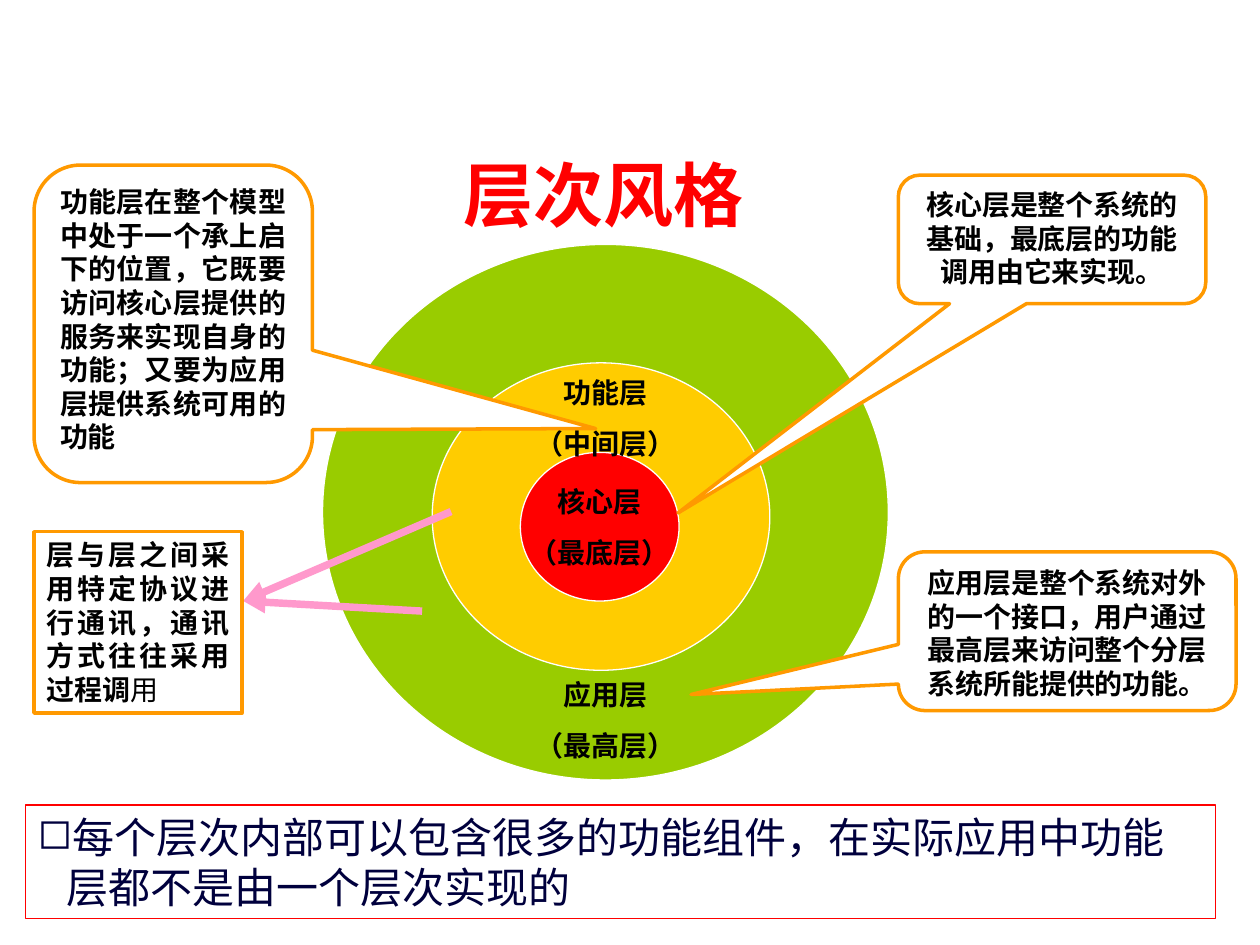
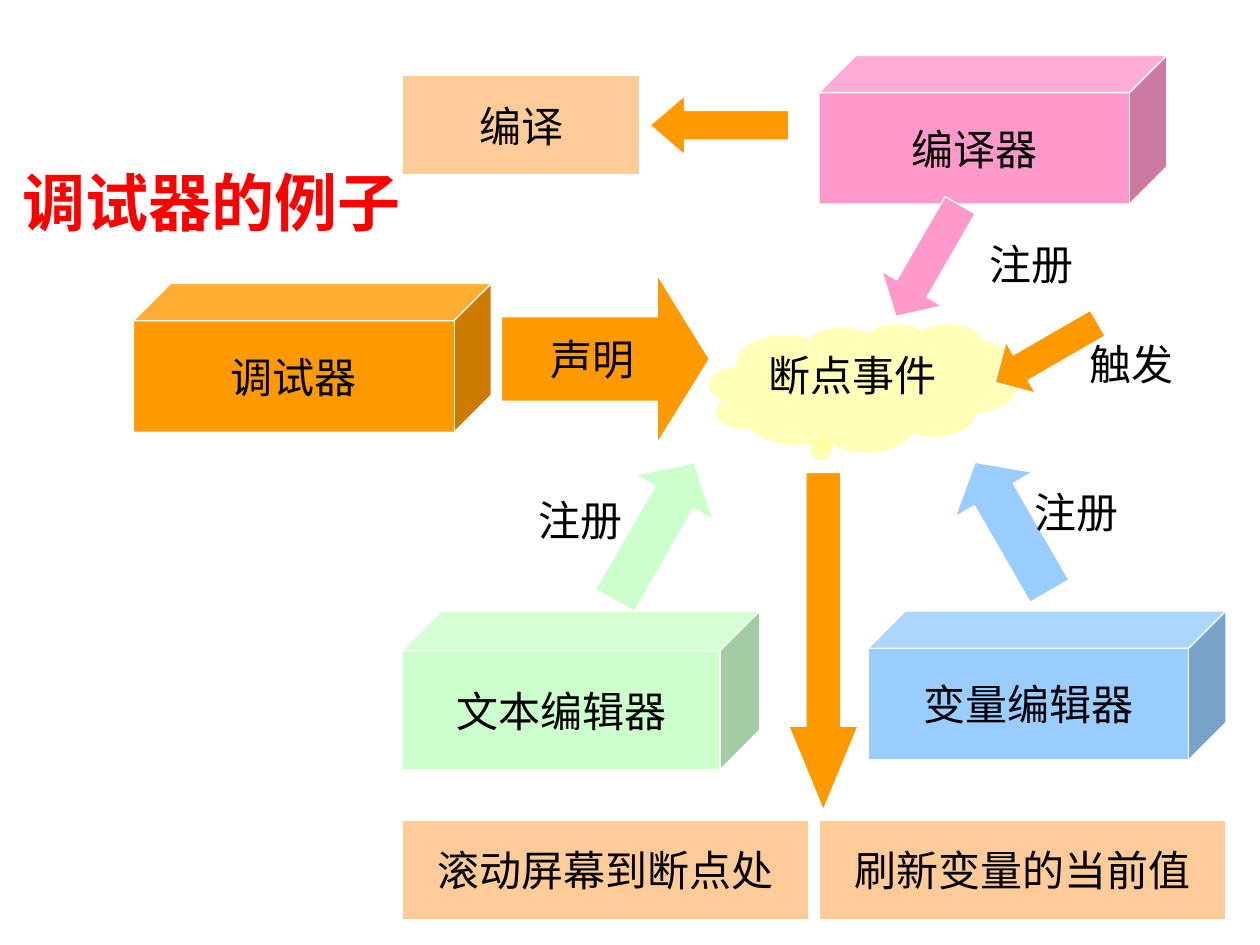
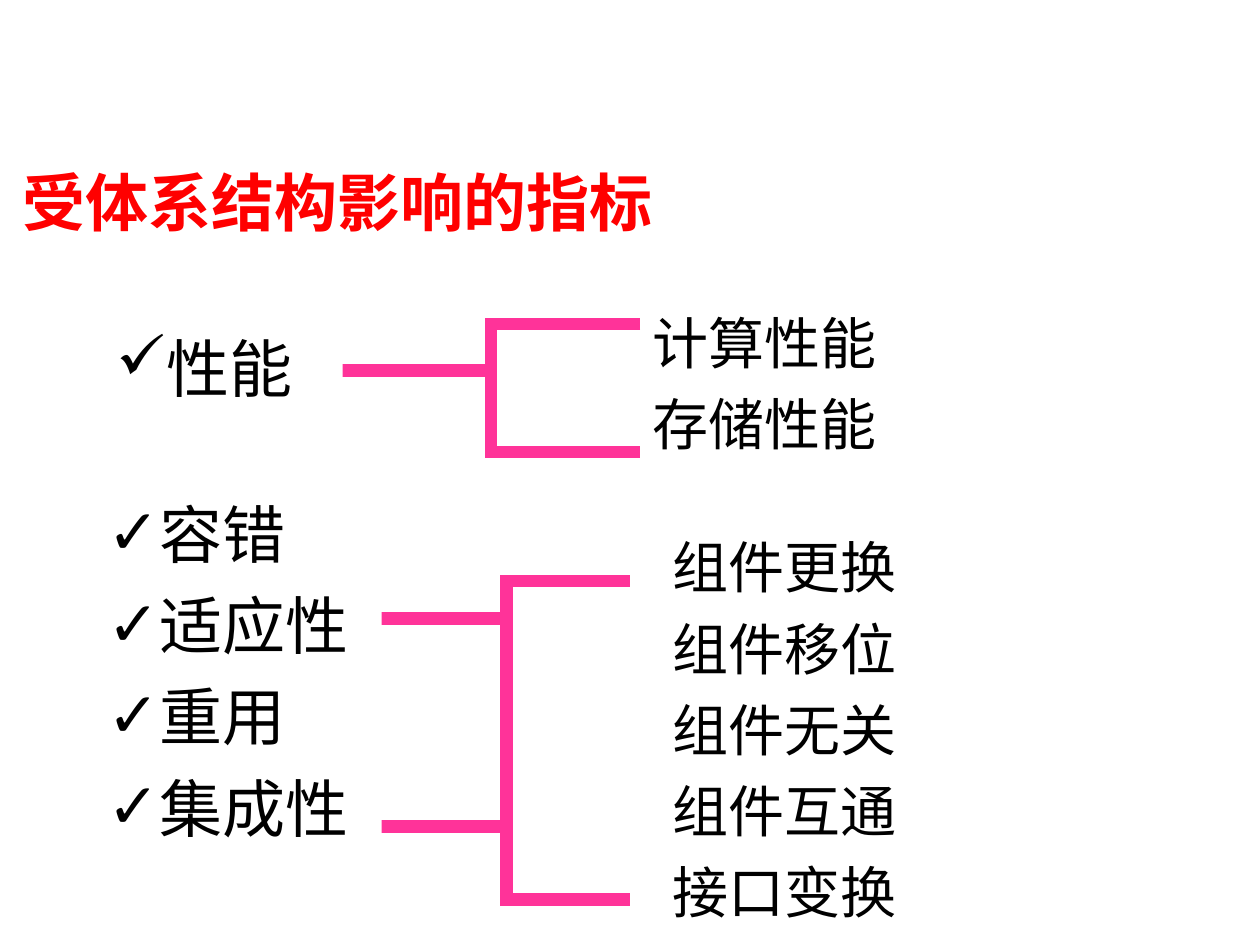
"""Build three slides on architecture styles: layers, events and quality measures."""
from dataclasses import dataclass
from typing import NamedTuple, Optional

from lxml.etree import SubElement
from pptx import Presentation
from pptx.dml.color import RGBColor
from pptx.enum.shapes import MSO_CONNECTOR, MSO_SHAPE as Preset
from pptx.enum.text import MSO_ANCHOR as Anchor, MSO_AUTO_SIZE, PP_ALIGN as Align
from pptx.oxml.ns import qn
from pptx.util import Inches, Pt

WIDTH, HEIGHT = Inches(10), Inches(7.5)
COLUMN, ROW = WIDTH / 100, HEIGHT / 75

WHITE = RGBColor(0xFF, 0xFF, 0xFF)
BLACK = RGBColor(0x00, 0x00, 0x00)
RED = RGBColor(0xFF, 0x00, 0x00)
GREEN = RGBColor(0x99, 0xCC, 0x00)
GOLD = RGBColor(0xFF, 0xCC, 0x00)
ORANGE = RGBColor(0xFF, 0x99, 0x00)
PINK = RGBColor(0xFF, 0x99, 0xCC)
MAGENTA = RGBColor(0xFF, 0x33, 0x99)
MINT = RGBColor(0xCC, 0xFF, 0xCC)
SKY = RGBColor(0x99, 0xCC, 0xFF)
PEACH = RGBColor(0xFF, 0xCC, 0x99)
CREAM = RGBColor(0xFF, 0xFF, 0x99)
NAVY = RGBColor(0x00, 0x00, 0x3D)

SERIF, SANS = "Times New Roman", "Noto Sans CJK SC"
TITLE_ONLY, TWO_CONTENT = 5, 3


class Box(NamedTuple):
    """Left, top, width and height in grid columns and rows."""
    left: float
    top: float
    width: float
    height: float


class Point(NamedTuple):
    """A place in grid columns and rows."""
    x: float
    y: float

    def emu(self) -> tuple[int, int]:
        """Convert the place to slide lengths."""
        return round(self.x * COLUMN), round(self.y * ROW)


@dataclass(frozen=True)
class TextStyle:
    """Look of the paragraphs in one text frame."""
    size: float
    color: RGBColor = BLACK
    font: str = SERIF
    bold: bool = False
    align: Align = Align.CENTER
    anchor: Anchor = Anchor.MIDDLE
    wrap: bool = False
    gap: float = 0
    bullet: Optional[str] = None
    hanging: float = 0


@dataclass(frozen=True)
class Figure:
    """A preset shape, or a plain label when it has no preset."""
    box: Box
    preset: Optional[Preset] = None
    fill: RGBColor = WHITE
    lines: tuple[str, ...] = ()
    style: Optional[TextStyle] = None
    adjustments: tuple[float, ...] = ()
    rotation: float = 0
    outline: Optional[RGBColor] = WHITE
    weight: float = 0.75
    opacity: Optional[int] = None


class Bracket(NamedTuple):
    """A stem at the left that opens into two arms at the right."""
    left: float
    spine: float
    right: float
    top: float
    stem: float
    bottom: float


LAYER = TextStyle(16, bold=True, gap=10)
CALLOUT = TextStyle(16, font=SANS, bold=True, anchor=Anchor.TOP, wrap=True)
JUSTIFIED = TextStyle(16, font=SANS, bold=True, align=Align.JUSTIFY, anchor=Anchor.TOP, wrap=True)
SUMMARY = TextStyle(24, NAVY, align=Align.LEFT, anchor=Anchor.TOP, wrap=True, bullet="◻", hanging=2.3)
EVENT = TextStyle(24)
CLOUD = TextStyle(24, anchor=Anchor.TOP, wrap=True)
CHECKED = TextStyle(36, align=Align.LEFT, anchor=Anchor.TOP, wrap=True, gap=9, bullet="✓", hanging=3.8)
DETAIL = TextStyle(32, align=Align.LEFT, anchor=Anchor.TOP, wrap=True, gap=8, hanging=3.8)


def place(shape, box: Box) -> None:
    """Move a shape to its box on the grid."""
    shape.left, shape.top = Point(box.left, box.top).emu()
    shape.width, shape.height = Point(box.width, box.height).emu()


def add_run(paragraph, text: str, style: TextStyle, bold: bool) -> None:
    """Append one formatted run."""
    run = paragraph.add_run()
    run.text = text
    run.font.name, run.font.size, run.font.bold = style.font, Pt(style.size), bold
    run.font.color.rgb = style.color


def write(shape, lines: tuple[str, ...], style: TextStyle) -> None:
    """Fill a text frame with one paragraph per line."""
    frame = shape.text_frame
    frame.auto_size = MSO_AUTO_SIZE.NONE
    frame.word_wrap, frame.vertical_anchor = style.wrap, style.anchor
    frame.margin_left = frame.margin_right = Inches(0.1)
    frame.margin_top = frame.margin_bottom = Inches(0.05)
    for index, line in enumerate(lines):
        paragraph = frame.add_paragraph() if index else frame.paragraphs[0]
        paragraph.alignment = style.align
        paragraph.space_before = Pt(style.gap if index else 0)
        properties = paragraph._p.get_or_add_pPr()
        indent = round(style.hanging * COLUMN)
        properties.set("marL", str(indent))
        properties.set("indent", str(-indent))
        if style.bullet:
            SubElement(properties, qn("a:buChar")).set("char", style.bullet)
        else:
            SubElement(properties, qn("a:buNone"))
        add_run(paragraph, line, style, style.bold)


def add_slide(presentation, layout: int, title: str, box: Box, size: float):
    """Add a slide with its red title."""
    slide = presentation.slides.add_slide(presentation.slide_layouts[layout])
    place(slide.shapes.title, box)
    write(slide.shapes.title, (title,),
          TextStyle(size, RED, bold=True, align=Align.LEFT, anchor=Anchor.TOP, wrap=True))
    return slide


def draw(slide, figure: Figure):
    """Draw one figure and its text."""
    if figure.preset is None:
        shape = slide.shapes.add_textbox(0, 0, 0, 0)
    else:
        shape = slide.shapes.add_shape(figure.preset, 0, 0, 0, 0)
        shape.shadow.inherit = False
        shape.fill.solid()
        shape.fill.fore_color.rgb = figure.fill
        if figure.opacity is not None:
            color = shape._element.spPr.find(qn("a:solidFill"))[0]
            SubElement(color, qn("a:alpha")).set("val", str(figure.opacity * 1000))
        if figure.outline is None:
            shape.line.fill.background()
        else:
            shape.line.color.rgb = figure.outline
            shape.line.width = Pt(figure.weight)
        for index, value in enumerate(figure.adjustments):
            shape.adjustments[index] = value
    place(shape, figure.box)
    shape.rotation = figure.rotation
    if figure.style:
        write(shape, figure.lines, figure.style)
    return shape


def framed(box: Box, text: str, style: TextStyle, pointer: tuple[float, ...] = ()) -> Figure:
    """Describe an orange note, with a pointer when one is given."""
    preset = Preset.ROUNDED_RECTANGULAR_CALLOUT if pointer else Preset.RECTANGLE
    adjustments = (*pointer, 0.167) if pointer else ()
    return Figure(box, preset, WHITE, (text,), style, adjustments, outline=ORANGE, weight=2)


def event(box: Box, preset: Optional[Preset], fill: RGBColor, text: str,
          adjustments: tuple[float, ...] = ()) -> Figure:
    """Describe a captioned part of the event diagram."""
    return Figure(box, preset, fill, (text,), EVENT, adjustments)


def arrow(box: Box, preset: Preset, fill: RGBColor, head: float, rotation: float = 0) -> Figure:
    """Describe a block arrow."""
    return Figure(box, preset, fill, adjustments=(0.5, head), rotation=rotation)


def draw_message(slide, start: Point, end: Point) -> None:
    """Draw a pink line with an arrowhead at its end."""
    connector = slide.shapes.add_connector(MSO_CONNECTOR.STRAIGHT, *start.emu(), *end.emu())
    connector.line.color.rgb = PINK
    connector.line.width = Pt(4.25)
    properties = connector._element.spPr
    SubElement(properties.find(qn("a:ln")), qn("a:tailEnd")).set("type", "triangle")
    SubElement(properties, qn("a:effectLst"))


def draw_bracket(slide, bracket: Bracket) -> None:
    """Draw a bracket as one open outline."""
    left, spine, right, top, stem, bottom = bracket
    corners = [Point(spine, top), Point(spine, stem), Point(left, stem),
               Point(spine, stem), Point(spine, bottom), Point(right, bottom)]
    builder = slide.shapes.build_freeform(*Point(right, top).emu())
    builder.add_line_segments([corner.emu() for corner in corners], close=False)
    shape = builder.convert_to_shape()
    shape.shadow.inherit = False
    shape.fill.background()
    shape.line.color.rgb = MAGENTA
    shape.line.width = Pt(7)
    SubElement(shape._element.spPr.find(qn("a:ln")), qn("a:miter")).set("lim", "800000")


def build_layers(presentation) -> None:
    """Show the layered style as nested ellipses with notes."""
    slide = add_slide(presentation, TITLE_ONLY, "层次风格", Box(35.8, 11.5, 29.1, 7.7), 40)
    figures = (
        Figure(Box(25.6, 19.4, 44.9, 42.5), Preset.OVAL, GREEN),
        Figure(Box(34.3, 28.8, 26.8, 24.4), Preset.OVAL, GOLD),
        Figure(Box(41.3, 35.9, 12.6, 11.8), Preset.OVAL, RED, ("核心层", "（最底层）"), LAYER),
        Figure(Box(39, 30.4, 18.1, 5.5), lines=("功能层", "（中间层）"), style=LAYER),
        Figure(Box(39.8, 54, 16.5, 6.3), lines=("应用层", "（最高层）"), style=LAYER),
        framed(Box(71.3, 13.9, 24.4, 10.2), "核心层是整个系统的基础，最底层的功能调用由它来实现。",
               CALLOUT, (-1.217, 2.129)),
        framed(Box(2.7, 13.1, 22.1, 25.2),
               "功能层在整个模型中处于一个承上启下的位置，它既要访问核心层提供的服务来实现自身的功能；"
               "又要为应用层提供系统可用的功能", JUSTIFIED, (1.517, 0.33)),
        framed(Box(71.3, 43.8, 26.8, 12.6),
               "应用层是整个系统对外的一个接口，用户通过最高层来访问整个分层系统所能提供的功能。",
               CALLOUT, (-1.114, 0.399)),
    )
    for figure in figures:
        draw(slide, figure)
    for start in (Point(35.8, 40.6), Point(33.5, 48.5)):
        draw_message(slide, start, Point(19.3, 47.7))
    protocol = draw(slide, framed(Box(2.7, 42.2, 16.5, 14.4),
                                  "层与层之间采用特定协议进行通讯，通讯方式往往采用过程调", JUSTIFIED))
    add_run(protocol.text_frame.paragraphs[0], "用", JUSTIFIED, False)
    draw(slide, Figure(Box(2, 63.9, 94.5, 9), Preset.RECTANGLE, WHITE,
                       ("每个层次内部可以包含很多的功能组件，在实际应用中功能层都不是由一个层次实现的",),
                       SUMMARY, outline=RED))


def build_events(presentation) -> None:
    """Show how a debugger event reaches its listeners."""
    slide = add_slide(presentation, TITLE_ONLY, "调试器的例子", Box(0.8, 12.5, 76, 7), 36)
    figures = (
        event(Box(31.9, 48.5, 28.4, 12.6), Preset.CUBE, MINT, "文本编辑器"),
        event(Box(68.9, 48.5, 28.4, 11.8), Preset.CUBE, SKY, "变量编辑器"),
        event(Box(10.6, 22.5, 28.4, 11.8), Preset.CUBE, ORANGE, "调试器"),
        event(Box(39.8, 21.8, 16.5, 13.4), Preset.RIGHT_ARROW, ORANGE, "声明", (0.5, 0.309)),
        Figure(Box(56.3, 25.7, 24.4, 10.2), Preset.CLOUD_CALLOUT, CREAM, ("断点事件",), CLOUD,
               (-0.124, 0.437), outline=None, opacity=69),
        arrow(Box(48.4, 35.9, 7.1, 12.6), Preset.UP_ARROW, MINT, 0.444, 30),
        event(Box(42.1, 38.1, 7.9, 6.3), None, WHITE, "注册"),
        arrow(Box(76.8, 35.9, 7.1, 11.8), Preset.UP_ARROW, SKY, 0.416, 330),
        event(Box(79.9, 38.3, 11, 4.7), None, WHITE, "注册"),
        arrow(Box(62.6, 37.5, 5.5, 26.8), Preset.DOWN_ARROW, ORANGE, 1.212),
        event(Box(31.9, 65.1, 32.3, 7.9), Preset.RECTANGLE, PEACH, "滚动屏幕到断点处"),
        event(Box(65, 65.1, 32.3, 7.9), Preset.RECTANGLE, PEACH, "刷新变量的当前值"),
        event(Box(65, 4.4, 27.6, 11.8), Preset.CUBE, PINK, "编译器"),
        arrow(Box(70.9, 15.6, 5.5, 10.2), Preset.DOWN_ARROW, PINK, 0.464, 30),
        event(Box(75.2, 18.6, 13.4, 4.7), None, WHITE, "注册"),
        arrow(Box(51.6, 7.6, 11, 4.7), Preset.LEFT_ARROW, ORANGE, 0.582),
        event(Box(31.9, 6, 18.9, 7.9), Preset.RECTANGLE, PEACH, "编译"),
        arrow(Box(80.7, 23.3, 4.7, 9.4), Preset.DOWN_ARROW, ORANGE, 0.5, 60),
        event(Box(83.9, 26.5, 11.8, 4.7), None, WHITE, "触发"),
    )
    for figure in figures:
        draw(slide, figure)


def build_measures(presentation) -> None:
    """List the measures and bracket their details."""
    slide = add_slide(presentation, TWO_CONTENT, "受体系结构影响的指标", Box(0.8, 12.5, 76, 7), 36)
    measures, performance = list(slide.placeholders)[1:]
    place(measures, Box(7.5, 38.8, 22.8, 28.8))
    write(measures, ("容错", "适应性", "重用", "集成性"), CHECKED)
    place(performance, Box(50.8, 24, 29.9, 12.9))
    write(performance, ("计算性能", "存储性能"), DETAIL)
    draw_bracket(slide, Bracket(27.2, 39, 50.8, 25.7, 29.4, 35.9))
    for stem in (49.1, 65.6):
        draw_bracket(slide, Bracket(30.3, 40.2, 50, 46.1, stem, 71.4))
    draw(slide, Figure(Box(52.4, 41.8, 22.8, 32.1), style=DETAIL,
                       lines=("组件更换", "组件移位", "组件无关", "组件互通", "接口变换")))
    draw(slide, Figure(Box(8.3, 25.7, 16.5, 7), lines=("性能",), style=CHECKED))


def main() -> None:
    """Build and save the presentation."""
    presentation = Presentation()
    presentation.slide_width, presentation.slide_height = WIDTH, HEIGHT
    build_layers(presentation)
    build_events(presentation)
    build_measures(presentation)
    presentation.save("out.pptx")


if __name__ == "__main__":
    main()
